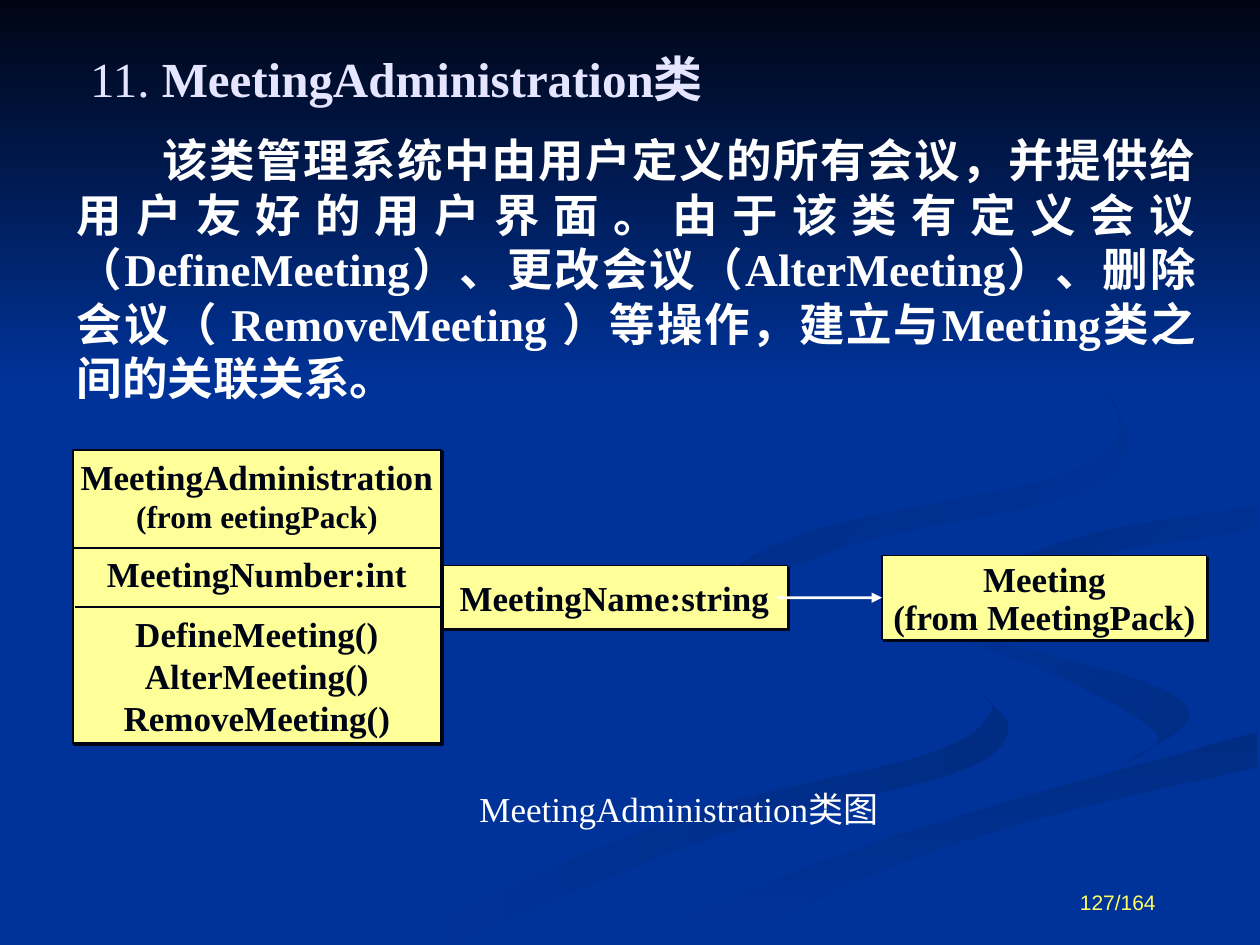
import pptx
import pptx.util
import pptx.dml.color
import pptx.enum.shapes
import pptx.enum.text
from lxml import etree
from pptx.oxml.ns import qn

Cm, Pt = pptx.util.Cm, pptx.util.Pt
RGB = pptx.dml.color.RGBColor
ALIGN = pptx.enum.text.PP_ALIGN
ANCHOR = pptx.enum.text.MSO_ANCHOR
RECT = pptx.enum.shapes.MSO_SHAPE.RECTANGLE
LINE = pptx.enum.shapes.MSO_CONNECTOR.STRAIGHT

BLUE = RGB(0x00, 0x33, 0x99)
DUSK = RGB(0x00, 0x2C, 0x84)
NIGHT = RGB(0x00, 0x05, 0x14)
CREAM = RGB(0xFF, 0xFF, 0x99)
WHITE = RGB(0xFF, 0xFF, 0xFF)
LILAC = RGB(0xE5, 0xE5, 0xFF)
GOLD = RGB(0xFF, 0xFF, 0x66)
SERIF, SANS = "Times New Roman", "Arial"
UNIT = Cm(0.0254)
STEPS = 6

WAVES = [
    (BLUE, DUSK, 0,
     [(781, 553), (786, 566), (739, 598), (539, 649), (300, 749)],
     [(361, 749), (564, 665), (756, 614), (800, 581), (781, 553)]),
    (BLUE, DUSK, 45,
     [(724, 464), (758, 498), (905, 540), (943, 570), (894, 605)],
     [(894, 605), (918, 581), (838, 536), (746, 500), (724, 464)]),
    (DUSK, BLUE, 90,
     [(998, 581), (764, 647), (630, 693), (503, 749)],
     [(571, 749), (722, 682), (861, 640), (998, 609)]),
    (DUSK, BLUE, 45,
     [(998, 402), (865, 424), (781, 460), (826, 496)],
     [(826, 496), (805, 472), (859, 443), (998, 420)]),
    (DUSK, BLUE, 45,
     [(762, 233), (846, 279), (889, 335), (842, 378), (649, 420), (577, 462), (622, 500)],
     [(622, 500), (593, 470), (683, 430), (855, 391), (894, 344), (843, 275), (762, 233)]),
]

TEXTS = [
    ((1.27, 0.84, 14.61, 1.47), 0.55, 0, ANCHOR.MIDDLE, ALIGN.LEFT, SERIF, LILAC,
     [("11. ", 28, False), ("MeetingAdministration类", 28, True)]),
    ((1.3, 2.54, 23.06, 5.77), 0.25, 1.72, ANCHOR.TOP, ALIGN.JUSTIFY, SERIF, WHITE,
     [("该类管理系统中由用户定义的所有会议，并提供给用户友好的用户界面。"
       "由于该类有定义会议（DefineMeeting）、更改会议（AlterMeeting）、"
       "删除会议（ RemoveMeeting ）等操作，建立与Meeting类之间的关联关系。", 26, True)]),
    ((7.34, 15.75, 12.7, 1.12), 0.25, 0, ANCHOR.TOP, ALIGN.CENTER, SERIF, WHITE,
     [("MeetingAdministration类图", 20, False)]),
    ((17.63, 17.25, 5.92, 1.32), 0.25, 0, ANCHOR.BOTTOM, ALIGN.RIGHT, SANS, GOLD,
     [("127/164", 12, False)]),
]

BOXES = [
    ((8.89, 11.4, 6.99, 1.27), 0.75, [("MeetingName:string", 20, 0, 1)]),
    ((1.47, 9.07, 7.42, 5.92), 1.5, [
        ("MeetingAdministration", 20, 0, 1), ("(from eetingPack)", 18, 0, 1),
        ("MeetingNumber:int", 20, 10, 1), ("DefineMeeting()", 20, 10, 1),
        ("AlterMeeting()", 20, 0, 1), ("RemoveMeeting()", 20, 0, 1)]),
    ((17.78, 11.2, 6.55, 1.7), 0.75, [
        ("Meeting", 20, 0, 1), ("(from MeetingPack)", 20, 0, 0.9)]),
]
RULES = [(1.47, 11.05), (1.52, 12.24)]
ARROW = (15.67, 12.05)


def style(font, name, size, bold, color):
    font.name, font.size, font.bold = name, Pt(size), bold
    font.color.rgb = color


def blend(shape, first, last, turn):
    shape.shadow.inherit = False
    shape.line.fill.background()
    shape.fill.gradient()
    shape.fill.gradient_angle = (360 - turn) % 360
    for stop, color in zip(shape.fill.gradient_stops, (first, last)):
        stop.color.rgb = color


def curve(knots):
    ends = [knots[0], *knots, knots[-1]]
    points = []
    for a, b, c, d in zip(ends, ends[1:], ends[2:], ends[3:]):
        for step in range(STEPS):
            t = step / STEPS
            points.append(tuple(
                q + t * (r - p + t * (2 * p - 5 * q + 4 * r - s
                                      + t * (3 * q - p - 3 * r + s))) / 2
                for p, q, r, s in zip(a, b, c, d)))
    return points + [knots[-1]]


def wave(shapes, first, last, turn, outer, inner):
    points = curve(outer) + curve(inner)
    path = shapes.build_freeform(*points[0], scale=UNIT)
    path.add_line_segments(points[1:], close=True)
    blend(path.convert_to_shape(), first, last, turn)


def label(shapes, place, left, indent, anchor, align, name, color, parts):
    frame = shapes.add_textbox(*map(Cm, place)).text_frame
    frame.word_wrap = True
    frame.margin_left = Cm(left)
    frame.vertical_anchor = anchor
    para = frame.paragraphs[0]
    para.alignment = align
    if indent:
        para._p.get_or_add_pPr().set("indent", str(Cm(indent)))
    for text, size, bold in parts:
        run = para.add_run()
        run.text = text
        style(run.font, name, size, bold, color)


def box(shapes, place, width, rows):
    shape = shapes.add_shape(RECT, *map(Cm, place))
    shape.shadow.inherit = False
    shape.fill.solid()
    shape.fill.fore_color.rgb = CREAM
    shape.line.color.rgb = NIGHT
    shape.line.width = Pt(width)
    effect = shape._element.spPr.find(qn("a:effectLst"))
    shade = etree.SubElement(effect, qn("a:outerShdw"), dist=str(Pt(1.4)),
                             dir="2700000", algn="ctr", rotWithShape="0")
    etree.SubElement(shade, qn("a:srgbClr"), val=str(NIGHT))
    frame = shape.text_frame
    frame.word_wrap = False
    frame.vertical_anchor = ANCHOR.MIDDLE
    frame.text = "\n".join(row[0] for row in rows)
    for para, (_, size, before, space) in zip(frame.paragraphs, rows):
        para.alignment = ALIGN.CENTER
        if before:
            para.space_before = Pt(before)
        if space != 1:
            para.line_spacing = space
        style(para.runs[0].font, SERIF, size, True, NIGHT)
    return shape


def rule(shapes, left, right, top, color):
    line = shapes.add_connector(LINE, Cm(left), Cm(top), Cm(right), Cm(top))
    line.line.color.rgb = color
    line.line.width = Pt(1.5)
    etree.SubElement(line._element.spPr, qn("a:effectLst"))
    return line


def main():
    deck = pptx.Presentation()
    deck.slide_width, deck.slide_height = Cm(25.4), Cm(19.05)
    slide = deck.slides.add_slide(deck.slide_layouts[6])
    slide.background.fill.solid()
    slide.background.fill.fore_color.rgb = BLUE
    shapes = slide.shapes
    for item in WAVES:
        wave(shapes, *item)
    sky = shapes.add_shape(RECT, 0, 0, deck.slide_width, Cm(7.82))
    blend(sky, NIGHT, BLUE, 90)
    for item in TEXTS:
        label(shapes, *item)
    cards = [box(shapes, *item) for item in BOXES]
    for left, top in RULES:
        rule(shapes, left, left + BOXES[1][0][2], top, NIGHT)
    left, top = ARROW
    arrow = rule(shapes, left, BOXES[2][0][0], top, WHITE)
    arrow.end_connect(cards[2], 1)
    etree.SubElement(arrow.line._get_or_add_ln(), qn("a:tailEnd"), type="triangle")
    deck.save("out.pptx")


if __name__ == "__main__":
    main()
